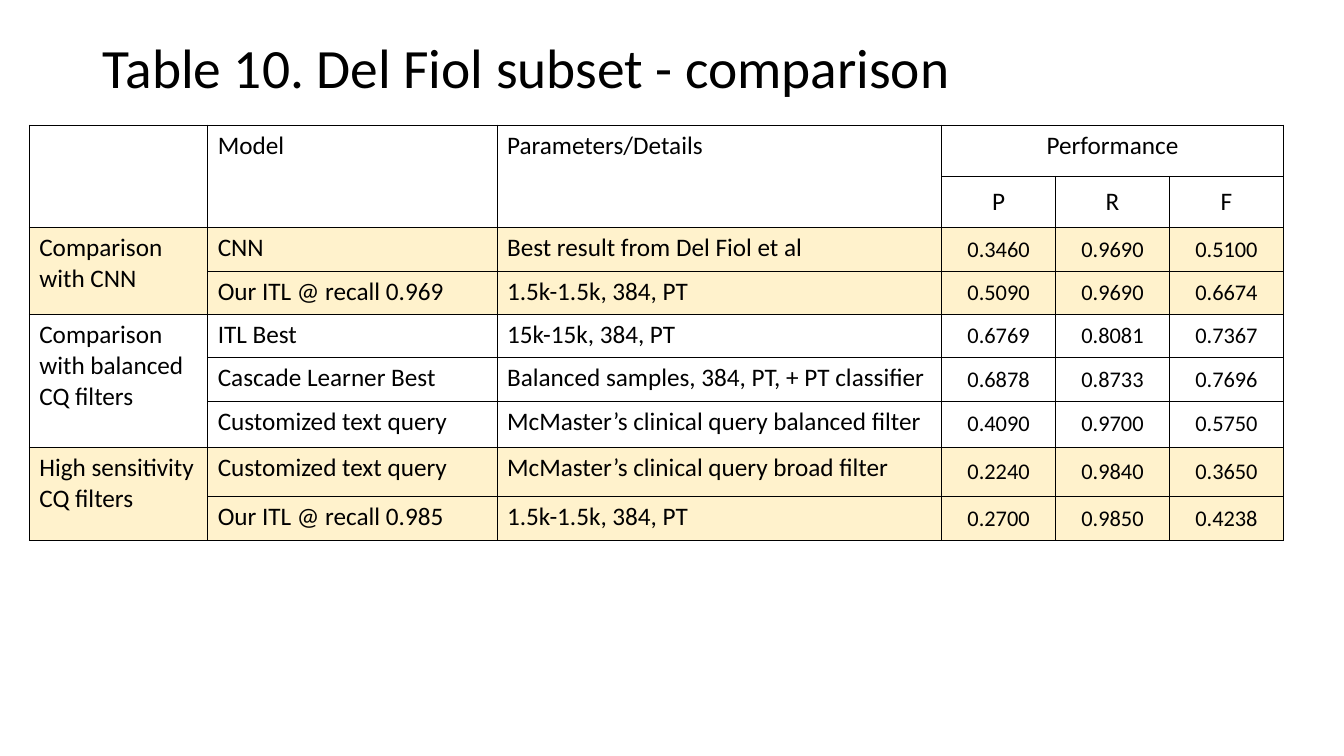
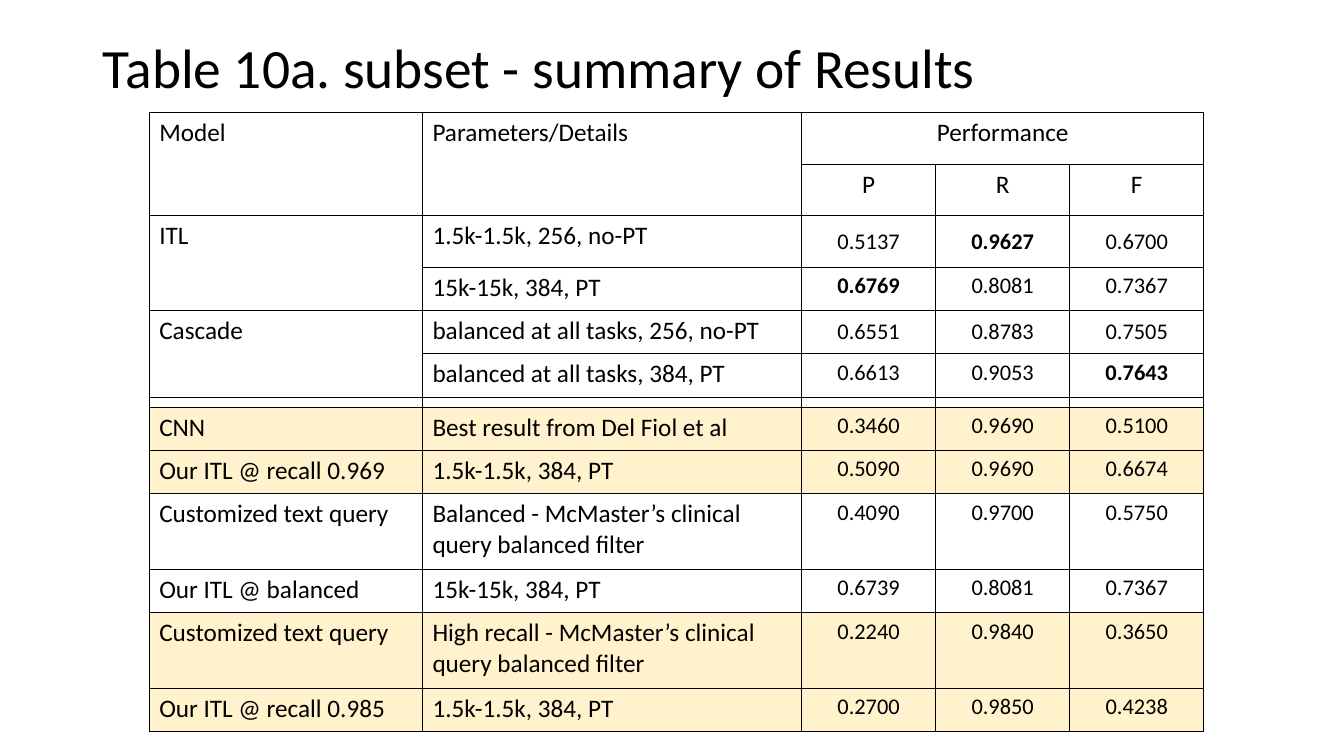
from dataclasses import dataclass
from lxml.etree import SubElement
from pptx import Presentation
from pptx.dml.color import RGBColor
from pptx.enum.text import MSO_ANCHOR as Anchor, PP_ALIGN as Align
from pptx.oxml.ns import qn
from pptx.util import Inches, Pt


@dataclass(frozen=True)
class Theme:
    """Colours, type sizes and line widths shared by the slides."""
    font: str = "Calibri"
    ink: str = "000000"
    tint: str = "FFF2CC"
    title_size: float = 39.6
    label_size: float = 18
    number_size: float = 16
    border: float = 0.75


@dataclass(frozen=True)
class Row:
    """One table row, where None marks a cell covered by a merge."""
    height: float
    cells: tuple
    tinted: bool = False
    anchor: Anchor = Anchor.TOP


THEME = Theme()
TITLE_BOX = (0.92, 0.4, 11.5, 0.6)
HEADER_ROWS = 2
SCORE_COLUMNS = 3
TITLE_ONLY_LAYOUT = 5
MIDDLE = Anchor.MIDDLE

COMPARISON_ROWS = [
    Row(0.51, ("", "Model", "Parameters/Details", "Performance", None, None)),
    Row(0.51, (None, None, None, "P", "R", "F"), False, MIDDLE),
    Row(0.43, ("Comparison with CNN", "CNN", "Best result from Del Fiol et al",
               "0.3460", "0.9690", "0.5100"), True, MIDDLE),
    Row(0.43, (None, "Our ITL @ recall 0.969", "1.5k-1.5k, 384, PT",
               "0.5090", "0.9690", "0.6674"), True, MIDDLE),
    Row(0.43, ("Comparison with balanced CQ filters", "ITL Best", "15k-15k, 384, PT",
               "0.6769", "0.8081", "0.7367"), False, MIDDLE),
    Row(0.43, (None, "Cascade Learner Best", "Balanced samples, 384, PT, + PT classifier",
               "0.6878", "0.8733", "0.7696"), False, MIDDLE),
    Row(0.46, (None, "Customized text query", "McMaster’s clinical query balanced filter",
               "0.4090", "0.9700", "0.5750"), False, MIDDLE),
    Row(0.49, ("High sensitivity CQ filters", "Customized text query",
               "McMaster’s clinical query broad filter",
               "0.2240", "0.9840", "0.3650"), True, MIDDLE),
    Row(0.43, (None, "Our ITL @ recall 0.985", "1.5k-1.5k, 384, PT",
               "0.2700", "0.9850", "0.4238"), True, MIDDLE),
]

SUMMARY_ROWS = [
    Row(0.51, ("Model", "Parameters/Details", "Performance", None, None)),
    Row(0.51, (None, None, "P", "R", "F")),
    Row(0.51, ("ITL", "1.5k-1.5k, 256, no-PT", "0.5137", "0.9627", "0.6700"), False, MIDDLE),
    Row(0.43, (None, "15k-15k, 384, PT", "0.6769", "0.8081", "0.7367")),
    Row(0.43, ("Cascade", "balanced at all tasks, 256, no-PT",
               "0.6551", "0.8783", "0.7505"), False, MIDDLE),
    Row(0.43, (None, "balanced at all tasks, 384, PT", "0.6613", "0.9053", "0.7643")),
    Row(0.1, ("", "", "", "", "")),
    Row(0.43, ("CNN", "Best result from Del Fiol et al", "0.3460", "0.9690", "0.5100"), True),
    Row(0.43, ("Our ITL @ recall 0.969", "1.5k-1.5k, 384, PT",
               "0.5090", "0.9690", "0.6674"), True),
    Row(0.75, ("Customized text query", "Balanced - McMaster’s clinical query balanced filter",
               "0.4090", "0.9700", "0.5750")),
    Row(0.43, ("Our ITL @ balanced", "15k-15k, 384, PT", "0.6739", "0.8081", "0.7367")),
    Row(0.75, ("Customized text query",
               "High recall - McMaster’s clinical query balanced filter",
               "0.2240", "0.9840", "0.3650"), True),
    Row(0.43, ("Our ITL @ recall 0.985", "1.5k-1.5k, 384, PT",
               "0.2700", "0.9850", "0.4238"), True),
]
SUMMARY_BEST = {"0.9627", "0.6769", "0.7643"}


def format_runs(paragraph, size, bold=False):
    """Apply the theme font to every run of a paragraph."""
    for run in paragraph.runs:
        run.font.name = THEME.font
        run.font.size = Pt(size)
        run.font.bold = bold
        run.font.color.rgb = RGBColor.from_string(THEME.ink)


def add_title(slide, text, box):
    """Place and format the title placeholder in the box."""
    title = slide.shapes.title
    title.left, title.top, title.width, title.height = map(Inches, box)
    frame = title.text_frame
    frame.text = text
    frame.word_wrap = True
    frame.vertical_anchor = MIDDLE
    paragraph = frame.paragraphs[0]
    paragraph.alignment = Align.LEFT
    paragraph.line_spacing = 0.9
    format_runs(paragraph, THEME.title_size)


def set_borders(cell):
    """Draw a thin line on all four sides of a cell."""
    properties = cell._tc.get_or_add_tcPr()
    for side in ("a:lnL", "a:lnR", "a:lnT", "a:lnB"):
        line = SubElement(properties, qn(side), w=str(Pt(THEME.border)))
        fill = SubElement(line, qn("a:solidFill"))
        SubElement(fill, qn("a:srgbClr"), val=THEME.ink)


def shrink_empty_cell(cell):
    """Let an empty cell be as low as its row asks."""
    cell.margin_top = cell.margin_bottom = 0
    paragraph = cell.text_frame.paragraphs[0]
    SubElement(paragraph._p, qn("a:endParaRPr"), sz=str(Pt(1).centipoints))


def merge_covered(table, rows):
    """Merge each filled cell with the covered cells right of and below it."""
    for top, row in enumerate(rows):
        for left, text in enumerate(row.cells):
            if text is None:
                continue
            bottom, right = top, left
            while bottom + 1 < len(rows) and rows[bottom + 1].cells[left] is None:
                bottom += 1
            while right + 1 < len(row.cells) and row.cells[right + 1] is None:
                right += 1
            if (bottom, right) != (top, left):
                table.cell(top, left).merge(table.cell(bottom, right))


def fill_cell(cell, text, row, is_score, size, bold):
    """Write one cell with its border, fill and alignment."""
    set_borders(cell)
    if row.tinted:
        cell.fill.solid()
        cell.fill.fore_color.rgb = RGBColor.from_string(THEME.tint)
    else:
        cell.fill.background()
    if not text:
        shrink_empty_cell(cell)
        return
    cell.text_frame.text = text
    cell.vertical_anchor = row.anchor if is_score else Anchor.TOP
    paragraph = cell.text_frame.paragraphs[0]
    paragraph.alignment = Align.CENTER if is_score else Align.LEFT
    format_runs(paragraph, size, bold)


def add_results_table(slide, left, top, widths, rows, best=frozenset()):
    """Add a results table whose last columns hold the scores."""
    height = sum(row.height for row in rows)
    frame = slide.shapes.add_table(len(rows), len(widths), Inches(left), Inches(top),
                                   Inches(sum(widths)), Inches(height))
    table = frame.table
    table.first_row = table.horz_banding = False
    for column, width in zip(table.columns, widths):
        column.width = Inches(width)
    first_score = len(widths) - SCORE_COLUMNS
    for row_index, row in enumerate(rows):
        table.rows[row_index].height = Inches(row.height)
        for column_index, text in enumerate(row.cells):
            is_score = column_index >= first_score
            is_number = is_score and row_index >= HEADER_ROWS
            size = THEME.number_size if is_number else THEME.label_size
            bold = row_index < len(rows) and text in best and not row.tinted
            fill_cell(table.cell(row_index, column_index), text, row, is_score, size, bold)
    merge_covered(table, rows)


def add_table_slide(presentation, title, **table):
    """Add a slide with a title and one results table."""
    slide = presentation.slides.add_slide(presentation.slide_layouts[TITLE_ONLY_LAYOUT])
    add_title(slide, title, TITLE_BOX)
    add_results_table(slide, **table)


def main():
    """Build and save the presentation."""
    presentation = Presentation()
    presentation.slide_width = Inches(13.33)
    presentation.slide_height = Inches(7.5)
    add_table_slide(presentation, "Table 10. Del Fiol subset - comparison",
                    left=0.29, top=1.24, rows=COMPARISON_ROWS,
                    widths=[1.77, 2.87, 4.41] + [1.13] * SCORE_COLUMNS)
    add_table_slide(presentation, "Table 10a. subset - summary of Results",
                    left=1.48, top=1.12, rows=SUMMARY_ROWS, best=SUMMARY_BEST,
                    widths=[2.71, 3.76] + [1.33] * SCORE_COLUMNS)
    presentation.save("out.pptx")


if __name__ == "__main__":
    main()
